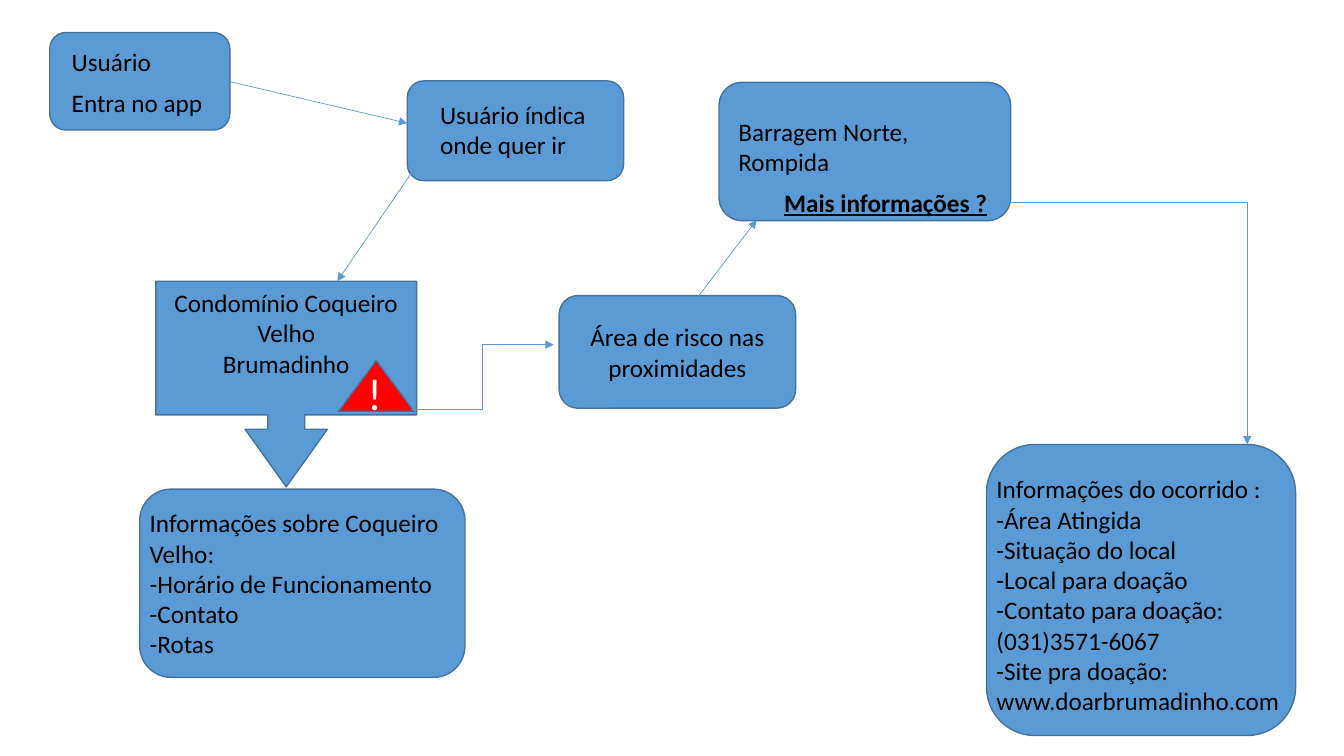
import pptx
import pptx.util
import pptx.dml.color
import pptx.enum.shapes
import pptx.enum.text
import pptx.oxml
import pptx.oxml.ns

Pt = pptx.util.Pt
MSO = pptx.enum.shapes.MSO_SHAPE
LINK = pptx.enum.shapes.MSO_CONNECTOR
ALIGN = pptx.enum.text.PP_ALIGN
ANCHOR = pptx.enum.text.MSO_ANCHOR
COLORS = {k: pptx.dml.color.RGBColor.from_string(v) for k, v in {
    "blue": "5B9BD5", "edge": "43739E", "red": "FF0000",
    "black": "000000", "white": "FFFFFF"}.items()}

prs = pptx.Presentation()
prs.slide_width = pptx.util.Inches(13.33)
prs.slide_height = pptx.util.Inches(7.5)
slide = prs.slides.add_slide(prs.slide_layouts[6])


def grid(x, y, *size):
    """Turn percentages of the slide's width and height into lengths."""
    sides = (prs.slide_width, prs.slide_height) * 2
    return [int(side * v / 100) for side, v in zip(sides, (x, y, *size))]


def write(sp, lines, size=18, color="black", bold=False, align=ALIGN.LEFT):
    """Fill a shape with one paragraph per line."""
    tf = sp.text_frame
    tf.word_wrap = True
    tf.text = "\n".join(lines)
    for p in tf.paragraphs:
        p.alignment = align
        p.font.name = "Calibri"
        p.font.size = Pt(size)
        p.font.bold = p.font.underline = bold
        p.font.color.rgb = COLORS[color]


# Steps of the flow: preset, place in percent, fill, centred text
steps = [
    (MSO.ROUNDED_RECTANGLE, (3.7, 4.3, 13.4, 12.9), "blue", []),
    (MSO.ROUNDED_RECTANGLE, (30.3, 10.7, 16.1, 13.2), "blue", []),
    (MSO.DOWN_ARROW_CALLOUT, (11.6, 37.2, 19.4, 27.2), "blue",
     ["Condomínio Coqueiro Velho", "Brumadinho"]),
    (MSO.ISOSCELES_TRIANGLE, (25.2, 47.7, 5.6, 6.7), "red", []),
    (MSO.ROUNDED_RECTANGLE, (41.6, 39.1, 17.6, 14.9), "blue",
     ["Área de risco nas proximidades"]),
    (MSO.ROUNDED_RECTANGLE, (53.5, 10.9, 21.7, 18.3), "blue", []),
    (MSO.ROUNDED_RECTANGLE, (73.4, 58.8, 23, 38.5), "blue", []),
    (MSO.ROUNDED_RECTANGLE, (10.4, 64.7, 24.2, 24.9), "blue", []),
]
for preset, place, fill, lines in steps:
    sp = slide.shapes.add_shape(preset, *grid(*place))
    sp.shadow.inherit = False
    sp.fill.solid()
    sp.fill.fore_color.rgb = COLORS[fill]
    sp.line.color.rgb = COLORS["edge"]
    sp.line.width = Pt(1)
    if lines:
        write(sp, lines, align=ALIGN.CENTER)
        sp.text_frame.vertical_anchor = ANCHOR.MIDDLE
    if preset == MSO.DOWN_ARROW_CALLOUT:
        for i, share in enumerate((0.18, 0.2, 0.28, 0.65)):
            sp.adjustments[i] = share
        sp.text_frame.margin_bottom = grid(0, 4.7)[1]  # room for the warning sign

# Labels laid over the steps
labels = [
    ((4.6, 5.5, 9.5, 5.3), ["Usuário"], {}),
    ((4.6, 10.9, 11.7, 5.3), ["Entra no app"], {}),
    ((32, 12.5, 14.5, 9.5), ["Usuário índica onde quer ir"], {}),
    ((26.6, 47.7, 9.4, 8.5), ["!"], {"size": 32, "color": "white"}),
    ((54.2, 14.7, 21.4, 9.5), ["Barragem Norte,", "Rompida"], {}),
    ((57.6, 24.1, 17.5, 5.3), ["Mais informações ?"], {"bold": True}),
    ((10.4, 66.5, 23.3, 25.6),
     ["Informações sobre Coqueiro Velho:", "-Horário de Funcionamento",
      "-Contato", "-Rotas"], {}),
    ((73.4, 62, 23, 33.6),
     ["Informações do ocorrido :\v-Área Atingida", "-Situação do local",
      "-Local para doação", "-Contato para doação: (031)3571-6067",
      "-Site pra doação: www.doarbrumadinho.com"], {}),
]
for place, lines, style in labels:
    write(slide.shapes.add_textbox(*grid(*place)), lines, **style)

# Arrows between the steps: preset, start, end
arrows = [
    ("line", (17.1, 10.8), (30.3, 16.3)),
    ("line", (31.3, 21.1), (25.1, 37.2)),
    ("bentConnector3", (30.6, 54.1), (41.2, 45.6)),
    ("line", (52, 39.1), (56.3, 29.1)),
    ("bentConnector2", (75.1, 26.8), (92.8, 58.8)),
]
for preset, start, end in arrows:
    kind = LINK.STRAIGHT if preset == "line" else LINK.ELBOW
    sp = slide.shapes.add_connector(kind, *grid(*start), *grid(*end))
    sp.line.color.rgb = COLORS["blue"]
    sp.line.width = Pt(0.5)
    spPr = sp._element.spPr
    spPr.find(pptx.oxml.ns.qn("a:prstGeom")).set("prst", preset)
    ns = pptx.oxml.ns.nsdecls("a")
    spPr.find(pptx.oxml.ns.qn("a:ln")).append(
        pptx.oxml.parse_xml(f'<a:tailEnd {ns} type="triangle"/>'))
    spPr.append(pptx.oxml.parse_xml(f"<a:effectLst {ns}/>"))

prs.save("out.pptx")
